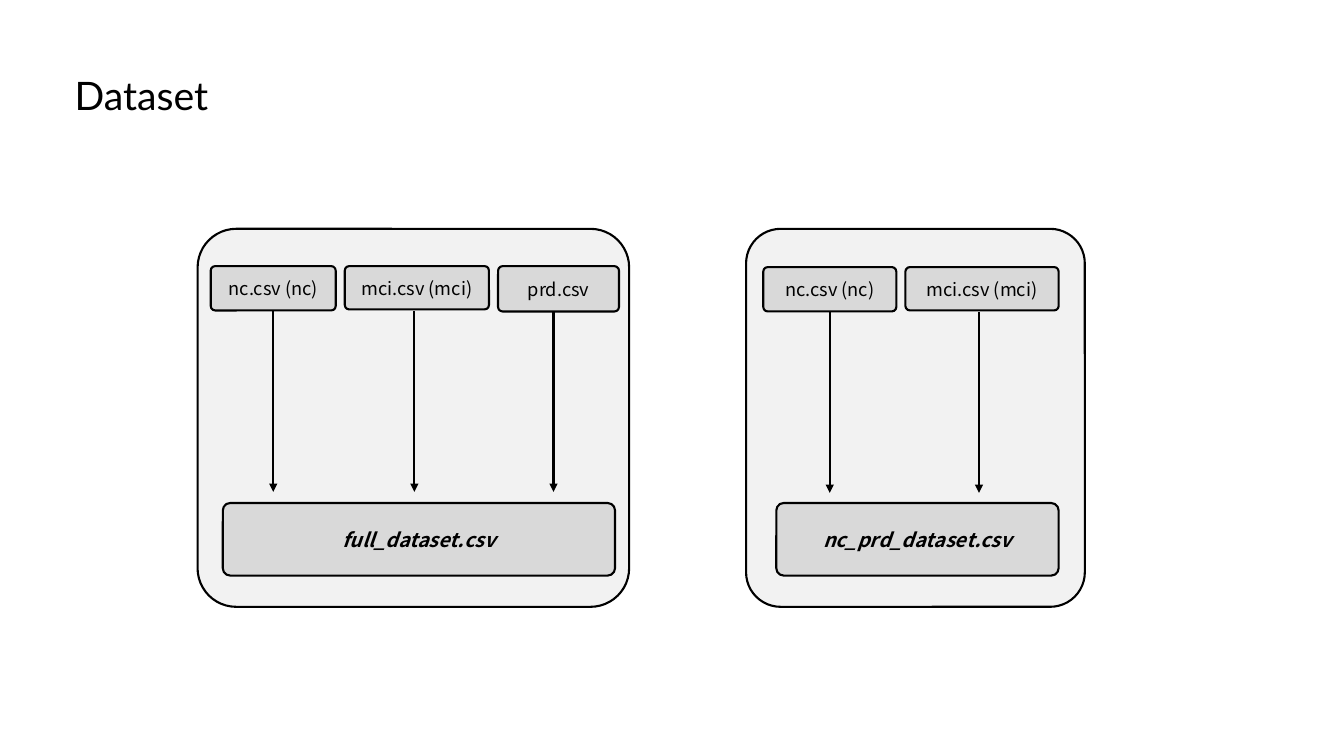
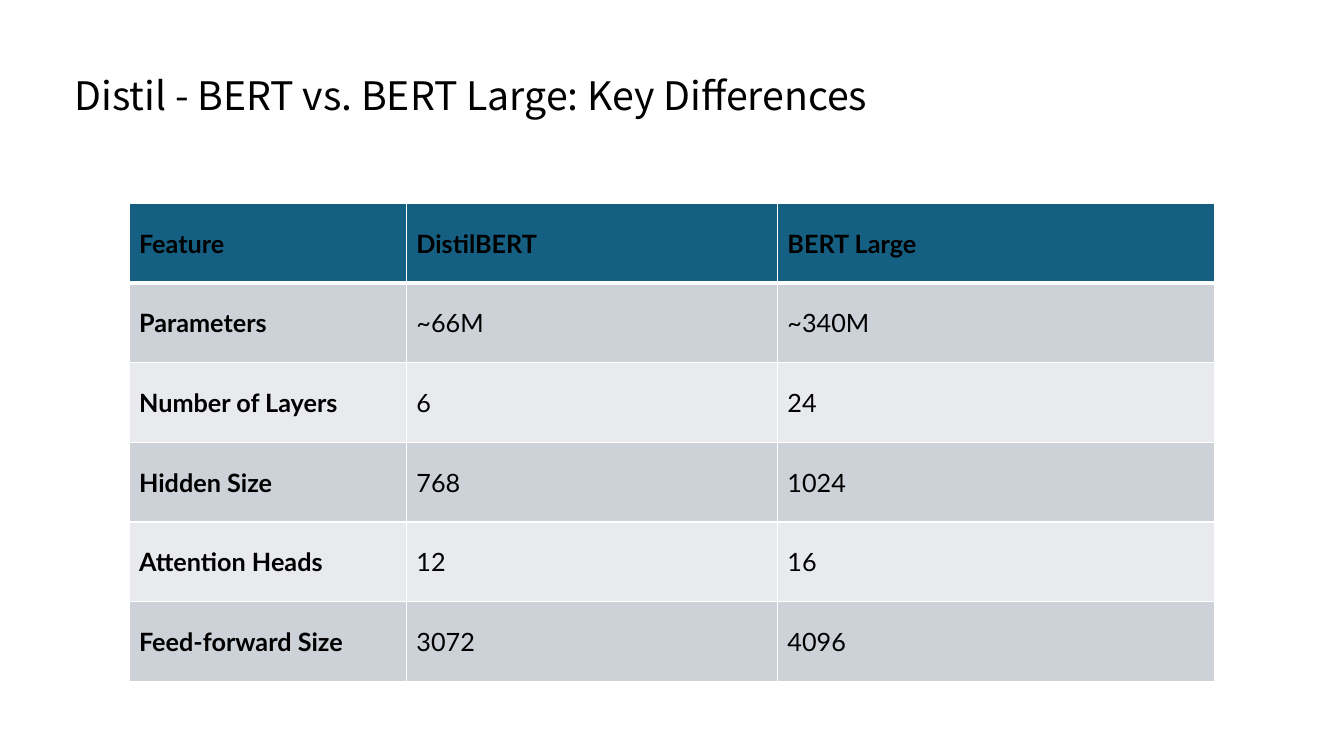
from dataclasses import dataclass

from lxml import etree
from pptx import Presentation
from pptx.dml.color import RGBColor
from pptx.enum.shapes import MSO_CONNECTOR, MSO_SHAPE
from pptx.enum.text import MSO_ANCHOR, MSO_AUTO_SIZE, PP_ALIGN
from pptx.oxml.ns import qn
from pptx.util import Pt

PX = 9144  # EMU in one px, 100 px to the inch
TITLE_ONLY = 5
BOTTOM_SIDE = 2
ROUNDED, STRAIGHT = MSO_SHAPE.ROUNDED_RECTANGLE, MSO_CONNECTOR.STRAIGHT
LEFT, CENTER, MIDDLE = PP_ALIGN.LEFT, PP_ALIGN.CENTER, MSO_ANCHOR.MIDDLE


@dataclass(frozen=True)
class Theme:
    ink: str = "000000"
    panel: str = "F2F2F2"
    file: str = "D9D9D9"
    header: str = "156082"
    bands: tuple = ("CCD2D8", "E8EAED")
    border: str = "FFFFFF"
    lato: str = "Lato"
    noto: str = "Noto Sans CJK KR"
    title_size: int = 28
    source_size: int = 13
    result_size: int = 14
    table_size: int = 18
    line: float = 1.5
    corner: float = 0.102


THEME = Theme()


def write(frame, text, *, font, size, align=LEFT, bold=False, italic=False, spacing=None):
    paragraph = frame.paragraphs[0]
    paragraph.alignment = align
    paragraph.line_spacing = spacing
    run = paragraph.add_run()
    run.text = text
    run.font.name, run.font.size = font, Pt(size)
    run.font.bold, run.font.italic = bold, italic
    run.font.color.rgb = RGBColor.from_string(THEME.ink)


def add_box(shapes, left, top, width, height, fill):
    box = shapes.add_shape(ROUNDED, left * PX, top * PX, width * PX, height * PX)
    box.adjustments[0] = THEME.corner
    box.shadow.inherit = False
    box.fill.solid()
    box.fill.fore_color.rgb = RGBColor.from_string(fill)
    box.line.color.rgb = RGBColor.from_string(THEME.ink)
    box.line.width = Pt(THEME.line)
    box.text_frame.vertical_anchor = MIDDLE
    return box


prs = Presentation()
prs.slide_width, prs.slide_height = 1333 * PX, 750 * PX

# Slides and their titles
slides = []
for heading, font in (
    ("Dataset", THEME.lato),
    ("Distil - BERT vs. BERT Large: Key Differences", THEME.noto),
):
    slide = prs.slides.add_slide(prs.slide_layouts[TITLE_ONLY])
    title = slide.shapes.title
    title.left, title.top, title.width, title.height = 64 * PX, 24 * PX, 1150 * PX, 145 * PX
    title.text_frame.auto_size = MSO_AUTO_SIZE.NONE
    title.text_frame.vertical_anchor = MIDDLE
    write(title.text_frame, heading, font=font, size=THEME.title_size, spacing=0.9)
    slides.append(slide)
dataset_slide, models_slide = slides

# Dataset: source files (name, left, width, height, arrow x) merged into one result
PANEL_TOP, PANEL_HEIGHT = 227, 375
RESULT_TOP, RESULT_HEIGHT = 499, 72
ARROW_DROP, ARROW_LENGTH = 45, 179
merges = [
    {
        "panel": (196, 428),
        "source_top": 264,
        "sources": [
            ("nc.csv (nc)", 209, 124, 44, 271),
            ("mci.csv (mci)", 342, 143, 43, 411),
            ("prd.csv", 494, 120, 45, 549),
        ],
        "result": ("full_dataset.csv", 221, 389),
    },
    {
        "panel": (740, 336),
        "source_top": 265,
        "sources": [
            ("nc.csv (nc)", 757, 132, 44, 823),
            ("mci.csv (mci)", 898, 152, 43, 971),
        ],
        "result": ("nc_prd_dataset.csv", 770, 280),
    },
]
for merge in merges:
    shapes = dataset_slide.shapes.add_group_shape().shapes
    panel_left, panel_width = merge["panel"]
    add_box(shapes, panel_left, PANEL_TOP, panel_width, PANEL_HEIGHT, THEME.panel)

    name, left, width = merge["result"]
    result = add_box(shapes, left, RESULT_TOP, width, RESULT_HEIGHT, THEME.file)
    write(result.text_frame, name, font=THEME.noto, size=THEME.result_size,
          align=CENTER, bold=True, italic=True)

    top = merge["source_top"]
    start = top + ARROW_DROP
    for name, left, width, height, x in merge["sources"]:
        source = add_box(shapes, left, top, width, height, THEME.file)
        write(source.text_frame, name, font=THEME.noto, size=THEME.source_size, align=CENTER)

        arrow = shapes.add_connector(STRAIGHT, x * PX, start * PX,
                                     x * PX, (start + ARROW_LENGTH) * PX)
        arrow.line.color.rgb = RGBColor.from_string(THEME.ink)
        arrow.line.width = Pt(THEME.line)
        etree.SubElement(arrow.line._get_or_add_ln(), qn("a:tailEnd"), type="triangle")
        etree.SubElement(arrow._element.spPr, qn("a:effectLst"))
        if x * 2 == left * 2 + width:
            arrow.begin_connect(source, BOTTOM_SIDE)

# Model comparison table
features = [
    ("Feature", "DistilBERT", "BERT Large"),
    ("Parameters", "~66M", "~340M"),
    ("Number of Layers", "6", "24"),
    ("Hidden Size", "768", "1024"),
    ("Attention Heads", "12", "16"),
    ("Feed-forward Size", "3072", "4096"),
]
COLUMN_WIDTHS, ROW_HEIGHT = (275, 368, 434), 79
table = models_slide.shapes.add_table(
    len(features), len(COLUMN_WIDTHS), 128 * PX, 202 * PX,
    sum(COLUMN_WIDTHS) * PX, len(features) * ROW_HEIGHT * PX).table
for column, width in zip(table.columns, COLUMN_WIDTHS):
    column.width = width * PX

for r, values in enumerate(features):
    table.rows[r].height = ROW_HEIGHT * PX
    fill = THEME.bands[(r - 1) % 2] if r else THEME.header
    # The rule under the header is thicker than the others
    borders = {"lnL": 1, "lnR": 1, "lnT": 3 if r == 1 else 1, "lnB": 1 if r else 3}
    for c, value in enumerate(values):
        cell = table.cell(r, c)
        cell.vertical_anchor = MIDDLE
        write(cell.text_frame, value, font=THEME.lato, size=THEME.table_size,
              bold=r == 0 or c == 0)
        properties = cell._tc.get_or_add_tcPr()
        for side, weight in borders.items():
            edge = etree.SubElement(properties, qn(f"a:{side}"), w=str(Pt(weight)))
            paint = etree.SubElement(edge, qn("a:solidFill"))
            etree.SubElement(paint, qn("a:srgbClr"), val=THEME.border)
        cell.fill.solid()
        cell.fill.fore_color.rgb = RGBColor.from_string(fill)

prs.save("out.pptx")
